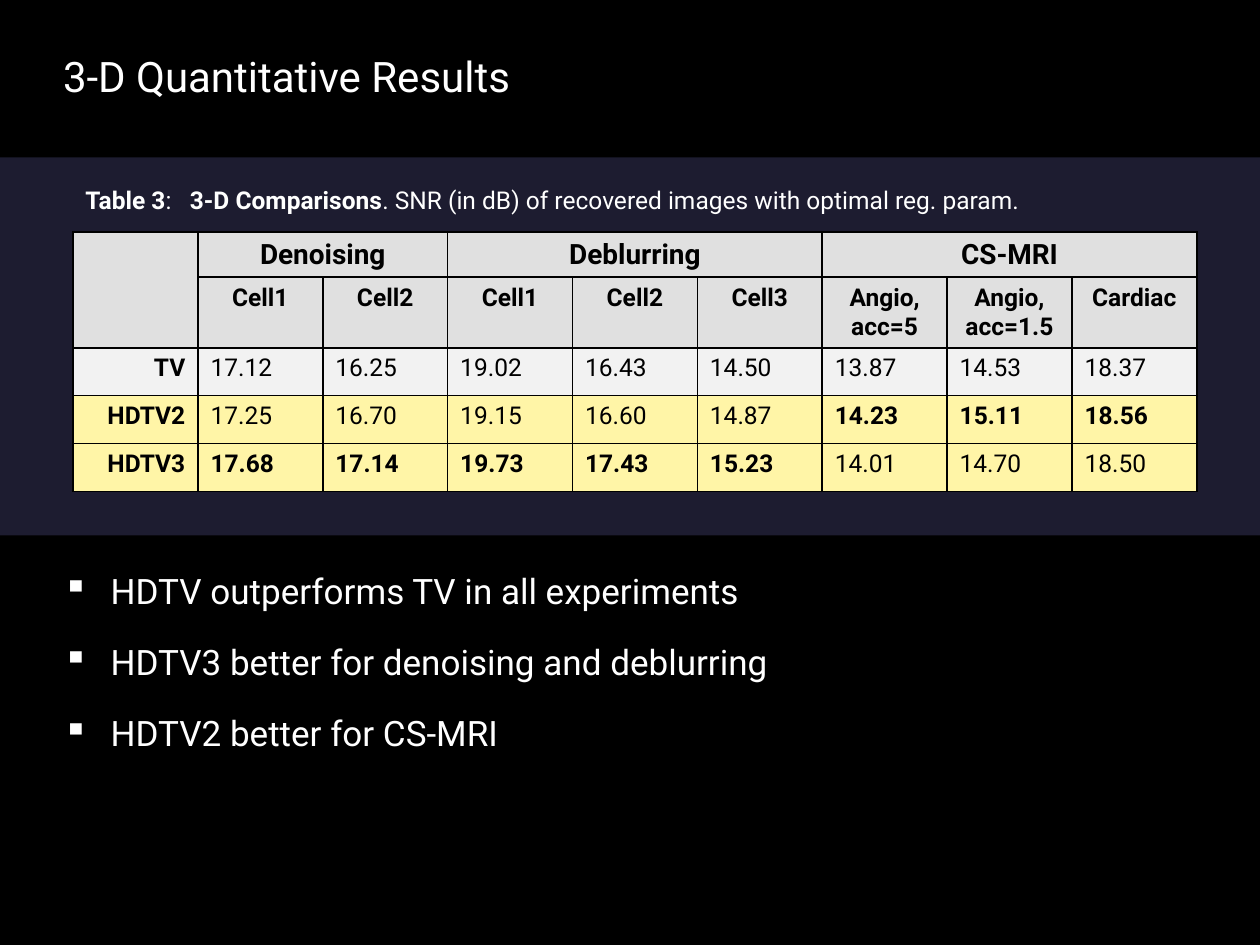
from lxml import etree
from pptx import Presentation
from pptx.dml.color import RGBColor
from pptx.enum.shapes import MSO_SHAPE
from pptx.enum.text import MSO_ANCHOR, PP_ALIGN
from pptx.oxml.ns import qn
from pptx.util import Inches, Pt

LEFT, CENTER, RIGHT = PP_ALIGN.LEFT, PP_ALIGN.CENTER, PP_ALIGN.RIGHT
FONT = "Roboto"
COLORS = {"black": "000000", "white": "FFFFFF", "band": "1D1C30",
          "header": "E0E0E0", "plain": "F2F2F2", "highlight": "FFF5A7"}


def add_run(para, text, size, color, bold=False):
    span = para.add_run()
    span.text = text
    span.font.name = FONT
    span.font.size = Pt(size)
    span.font.bold = bold
    span.font.color.rgb = RGBColor.from_string(COLORS[color])


def style_cell(cell, fill):
    """Fill a cell and give it thin black borders."""
    properties = cell._tc.get_or_add_tcPr()
    for side in ("lnL", "lnR", "lnT", "lnB"):
        line = etree.SubElement(properties, qn(f"a:{side}"), w=str(Pt(1)))
        solid = etree.SubElement(line, qn("a:solidFill"))
        etree.SubElement(solid, qn("a:srgbClr"), val=COLORS["black"])
    cell.fill.solid()
    cell.fill.fore_color.rgb = RGBColor.from_string(COLORS[fill])


deck = Presentation()
deck.slide_width, deck.slide_height = Inches(10), Inches(7.5)
page = deck.slides.add_slide(deck.slide_layouts[5])
page.background.fill.solid()
page.background.fill.fore_color.rgb = RGBColor.from_string(COLORS["black"])

# Title
title = page.shapes.title
title.left, title.top = Inches(0.4), Inches(0)
title.width, title.height = Inches(9), Inches(0.9)
frame = title.text_frame
frame.vertical_anchor = MSO_ANCHOR.BOTTOM
frame.margin_left = frame.margin_right = Inches(0.1)
frame.margin_top = frame.margin_bottom = Inches(0.1)
frame.paragraphs[0].alignment = LEFT
add_run(frame.paragraphs[0], "3-D Quantitative Results", 24, "white")

# Band behind the table
band = page.shapes.add_shape(MSO_SHAPE.RECTANGLE, Inches(0), Inches(1.25), Inches(10), Inches(3))
band.shadow.inherit = False
band.fill.solid()
band.fill.fore_color.rgb = RGBColor.from_string(COLORS["band"])
band.line.fill.background()

# Results table
groups = [("Denoising", ["Cell1", "Cell2"]),
          ("Deblurring", ["Cell1", "Cell2", "Cell3"]),
          ("CS-MRI", ["Angio, acc=5", "Angio,\vacc=1.5", "Cardiac"])]
results = [
    ("TV", "plain", ["17.12", "16.25", "19.02", "16.43", "14.50", "13.87", "14.53", "18.37"]),
    ("HDTV2", "highlight", ["17.25", "16.70", "19.15", "16.60", "14.87", "14.23", "15.11", "18.56"]),
    ("HDTV3", "highlight", ["17.68", "17.14", "19.73", "17.43", "15.23", "14.01", "14.70", "18.50"]),
]
best_scores = [max(scores, key=float) for scores in zip(*(row[2] for row in results))]
row_heights = [0.36, 0.56, 0.38, 0.38, 0.38]
row_fills = ["header", "header"] + [fill for _, fill, _ in results]

table = page.shapes.add_table(5, 9, Inches(0.58), Inches(1.84), Inches(8.92), Inches(2.06)).table
for column in table.columns:
    column.width = Inches(8.92 / 9)
for row, height, fill in zip(table.rows, row_heights, row_fills):
    row.height = Inches(height)
    for cell in row.cells:
        style_cell(cell, fill)

table.cell(0, 0).merge(table.cell(1, 0))
first = 1
for group, samples in groups:
    heading = table.cell(0, first)
    heading.merge(table.cell(0, first + len(samples) - 1))
    para = heading.text_frame.paragraphs[0]
    para.alignment = CENTER
    add_run(para, group, 16, "black", True)
    for column, sample in enumerate(samples, first):
        para = table.cell(1, column).text_frame.paragraphs[0]
        para.alignment = CENTER
        for number, part in enumerate(sample.split("\v")):
            if number:
                para.add_line_break()
            add_run(para, part, 14, "black", True)
    first += len(samples)

for row, (method, _, scores) in enumerate(results, 2):
    para = table.cell(row, 0).text_frame.paragraphs[0]
    para.alignment = RIGHT
    add_run(para, method, 14, "black", True)
    for column, (score, best) in enumerate(zip(scores, best_scores), 1):
        para = table.cell(row, column).text_frame.paragraphs[0]
        add_run(para, score, 14, "black", score == best)

# Table caption
caption = page.shapes.add_textbox(Inches(0.58), Inches(1.42), Inches(7.73), Inches(0.57))
caption.text_frame.word_wrap = False
for text, bold in [("Table 3", True), (":   ", False), ("3-D Comparisons", True),
                   (". SNR (in dB) of recovered images with optimal reg. param.", False)]:
    add_run(caption.text_frame.paragraphs[0], text, 14, "white", bold)

# Conclusions
conclusions = ["HDTV outperforms TV in all experiments",
               "HDTV3 better for denoising and deblurring",
               "HDTV2 better for CS-MRI"]
box = page.shapes.add_textbox(Inches(0.4), Inches(4.25), Inches(9), Inches(2.92))
frame = box.text_frame
frame.word_wrap = True
frame.margin_left = frame.margin_right = Inches(0.1)
frame.margin_top = frame.margin_bottom = Inches(0.1)
for number, conclusion in enumerate(conclusions):
    para = frame.add_paragraph() if number else frame.paragraphs[0]
    para.line_spacing = 1.5
    para.space_before = Pt(4.8 if number else 0)
    properties = para._p.get_or_add_pPr()
    properties.set("marL", str(Inches(0.38)))
    properties.set("indent", str(-Inches(0.38)))
    bullet_color = etree.SubElement(properties, qn("a:buClr"))
    etree.SubElement(bullet_color, qn("a:srgbClr"), val=COLORS["white"])
    etree.SubElement(properties, qn("a:buChar"), char="▪")
    add_run(para, conclusion, 20, "white")

deck.save("out.pptx")
